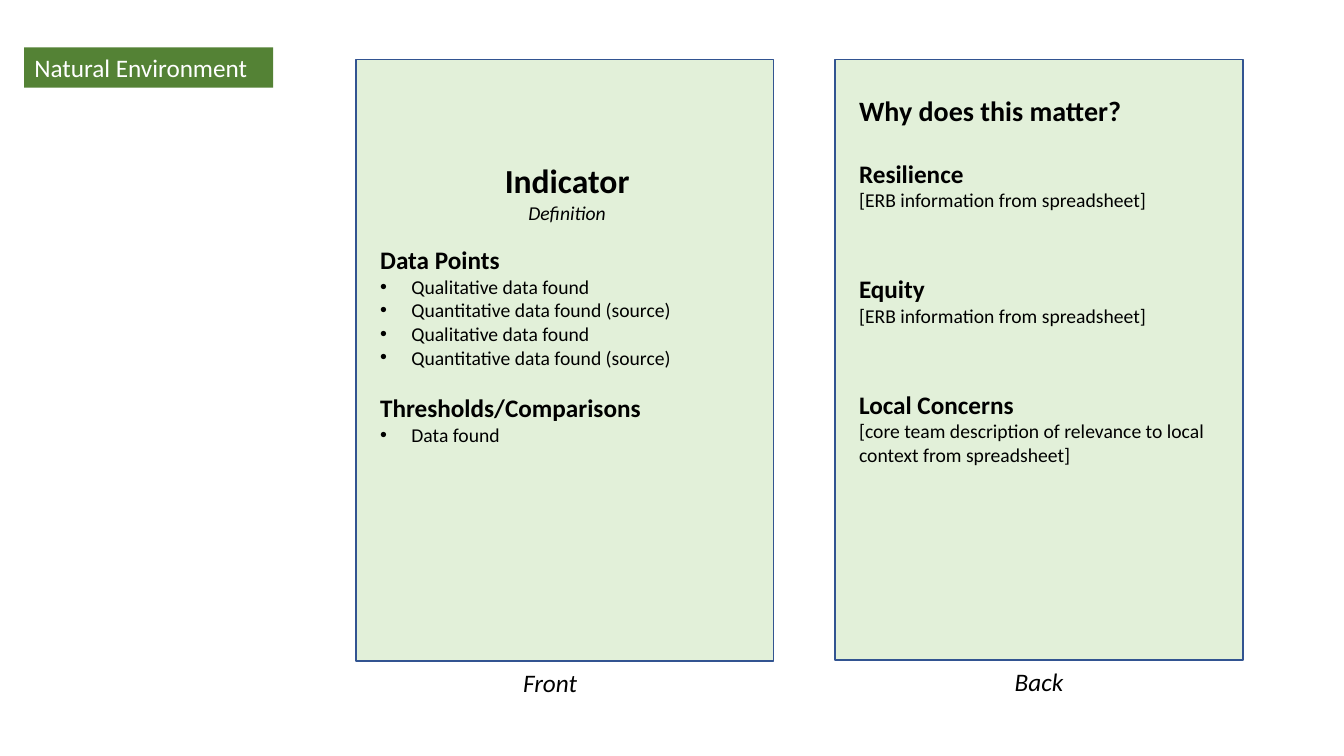
from lxml.etree import SubElement
from pptx import Presentation
from pptx.dml.color import RGBColor
from pptx.enum.text import MSO_ANCHOR as Anchor, MSO_AUTO_SIZE as AutoSize, PP_ALIGN as Align
from pptx.enum.shapes import MSO_SHAPE as Shape
from pptx.oxml.ns import qn
from pptx.util import Inches, Pt

LEAF = RGBColor(0x54, 0x82, 0x35)
PALE_GREEN = RGBColor(0xE2, 0xF0, 0xD9)
NAVY = RGBColor(0x32, 0x54, 0x91)
BLACK = RGBColor(0, 0, 0)
WHITE = RGBColor(0xFF, 0xFF, 0xFF)

# Kind of line: size, bold, italic, alignment, bulleted
STYLES = {
    "indicator": (24, True, False, Align.CENTER, False),
    "definition": (14, False, True, Align.CENTER, False),
    "question": (20, True, False, Align.LEFT, False),
    "heading": (18, True, False, Align.LEFT, False),
    "text": (14, False, False, Align.LEFT, False),
    "bullet": (14, False, False, Align.LEFT, True),
    "caption": (18, False, True, Align.CENTER, False),
    "tag": (18, False, False, Align.LEFT, False),
}


def place(shape, left, top, width, height):
    shape.left, shape.top = Inches(left), Inches(top)
    shape.width, shape.height = Inches(width), Inches(height)


def write(frame, lines, color=BLACK):
    """Fill a text frame with (kind, text, points of space before)."""
    frame.word_wrap = True
    frame.auto_size = AutoSize.NONE
    frame.vertical_anchor = Anchor.TOP
    for number, (kind, text, gap) in enumerate(lines):
        size, bold, italic, align, bulleted = STYLES[kind]
        line = frame.add_paragraph() if number else frame.paragraphs[0]
        line.text = text
        line.alignment = align
        props = line._p.get_or_add_pPr()
        indent = Inches(0.31) if bulleted else 0
        props.set("marL", str(indent))
        props.set("indent", str(-indent))
        if bulleted:
            SubElement(props, qn("a:buFont"), typeface="Arial")
            SubElement(props, qn("a:buChar"), char="•")
        else:
            SubElement(props, qn("a:buNone"))
        line.space_before = Pt(gap)
        font = line.font
        font.name, font.size = "Calibri", Pt(size)
        font.bold, font.italic = bold, italic
        font.color.rgb = color


deck = Presentation()
deck.slide_width, deck.slide_height = Inches(13.33), Inches(7.5)
slide = deck.slides.add_slide(deck.slide_layouts[3])
category, front, back = slide.placeholders

# Card backgrounds, behind the text
for left, width, height in ((8.28, 4.05, 5.96), (3.53, 4.14, 5.97)):
    card = slide.shapes.add_shape(
        Shape.RECTANGLE, Inches(left), Inches(0.59), Inches(width), Inches(height))
    card.shadow.inherit = False
    card.fill.solid()
    card.fill.fore_color.rgb = PALE_GREEN
    card.line.color.rgb = NAVY
    card.line.width = Pt(1)
    category.element.addprevious(card.element)

# Category tag
place(category, 0.24, 0.47, 2.47, 0.4)
category.fill.solid()
category.fill.fore_color.rgb = LEAF
write(category.text_frame, [("tag", "Natural Environment", 0)], WHITE)

# Front of the card
place(front, 3.67, 1.54, 3.91, 3.57)
write(front.text_frame, [
    ("indicator", "Indicator", 0),
    ("definition", "Definition", 0),
    ("heading", "Data Points", 14.6),
    ("bullet", "Qualitative data found", 0),
    ("bullet", "Quantitative data found (source)", 0),
    ("bullet", "Qualitative data found", 0),
    ("bullet", "Quantitative data found (source)", 0),
    ("heading", "Thresholds/Comparisons", 17),
    ("bullet", "Data found", 0),
])

# Back of the card
place(back, 8.42, 0.88, 3.79, 4.11)
write(back.text_frame, [
    ("question", "Why does this matter?", 0),
    ("heading", "Resilience", 22),
    ("text", "[ERB information from spreadsheet]", 0),
    ("heading", "Equity", 44),
    ("text", "[ERB information from spreadsheet]", 0),
    ("heading", "Local Concerns", 44),
    ("text", "[core team description of relevance to local context from spreadsheet]", 0),
])

# Captions under the cards
for side, left, top in (("Front", 4.38, 6.57), ("Back", 9.23, 6.56)):
    caption = slide.shapes.add_textbox(Inches(left), Inches(top), Inches(2.15), Inches(0.4))
    write(caption.text_frame, [("caption", side, 0)])

deck.save("out.pptx")
